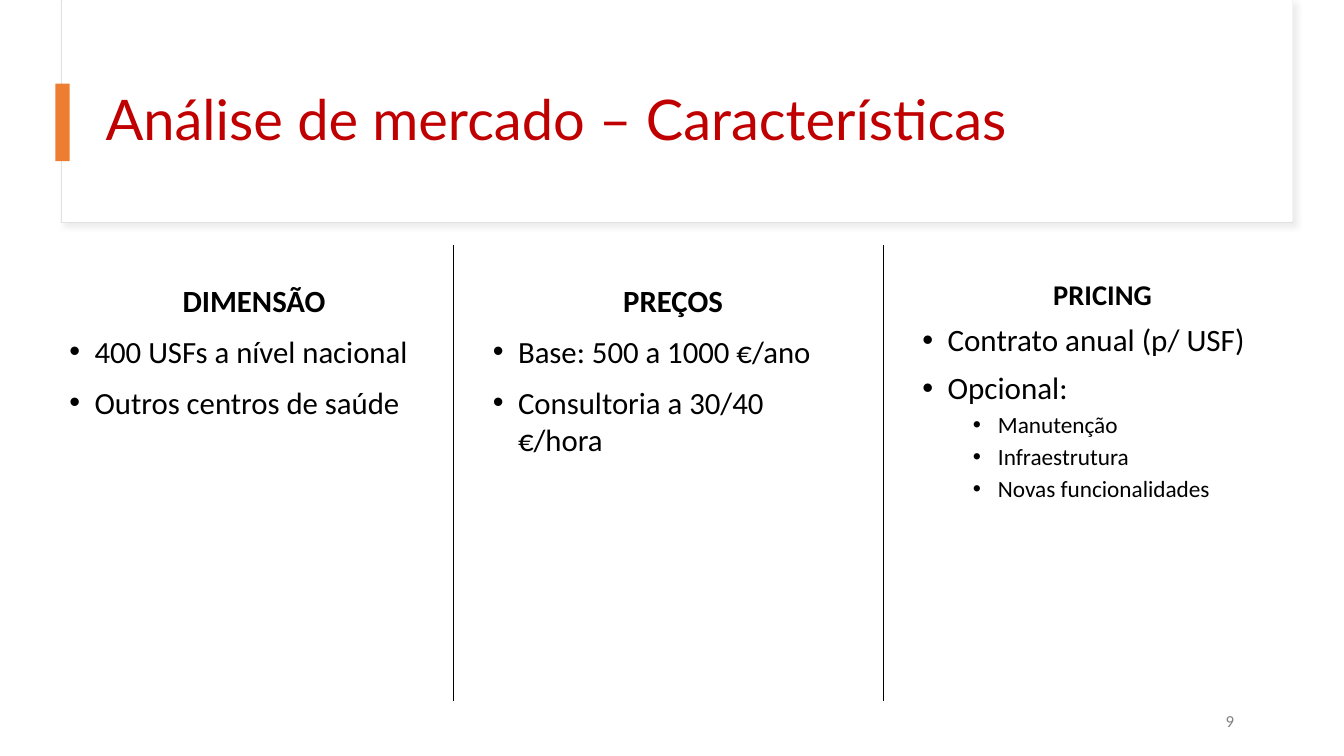
from lxml.etree import SubElement
from pptx import Presentation
from pptx.dml.color import RGBColor
from pptx.enum.shapes import MSO_CONNECTOR, MSO_SHAPE
from pptx.enum.text import MSO_ANCHOR as Anchor, PP_ALIGN as Align
from pptx.oxml import parse_xml
from pptx.oxml.ns import nsdecls, qn
from pptx.util import Inches, Pt

COLORS = {
    "white": "FFFFFF",
    "frame": "E1E1E1",
    "shadow": "D9D9D9",
    "accent": "ED7D31",
    "title": "C00000",
    "text": "000000",
    "number": "808080",
}


def color(name):
    return RGBColor.from_string(COLORS[name])


def add_rect(page, left, top, width, height, fill, line=None):
    rect = page.shapes.add_shape(
        MSO_SHAPE.RECTANGLE, Inches(left), Inches(top), Inches(width), Inches(height))
    rect.shadow.inherit = False
    rect.fill.solid()
    rect.fill.fore_color.rgb = color(fill)
    if line:
        rect.line.color.rgb = color(line)
        rect.line.width = Pt(0.75)
    else:
        rect.line.fill.background()
    return rect


def add_soft_shadow(shape):
    effects = shape._element.spPr.find(qn("a:effectLst"))
    effects.append(parse_xml(
        f'<a:outerShdw {nsdecls("a")} blurRad="{Pt(4)}" dist="{Pt(3)}" '
        f'dir="{45 * 60000}" algn="tl" rotWithShape="0">'
        f'<a:srgbClr val="{COLORS["shadow"]}"><a:alpha val="50000"/></a:srgbClr>'
        '</a:outerShdw>'))


def add_divider(page, x, top=2.43, bottom=6.95):
    divider = page.shapes.add_connector(
        MSO_CONNECTOR.STRAIGHT, Inches(x), Inches(top), Inches(x), Inches(bottom))
    divider.line.color.rgb = color("text")
    divider.line.width = Pt(0.5)
    SubElement(divider._element.spPr, qn("a:effectLst"))


def add_box(page, left, top, width, height, anchor=Anchor.TOP):
    box = page.shapes.add_textbox(
        Inches(left), Inches(top), Inches(width), Inches(height))
    box.text_frame.word_wrap = True
    box.text_frame.vertical_anchor = anchor
    return box.text_frame


def write(para, text, size, font="Calibri", ink="text", bold=False,
          align=Align.LEFT, spacing=1.0, before=0, after=0):
    para.alignment = align
    para.line_spacing = spacing
    para.space_before = Pt(before)
    para.space_after = Pt(after)
    span = para.add_run()
    span.text = text
    span.font.size = Pt(size)
    span.font.name = font
    span.font.bold = bold
    span.font.color.rgb = color(ink)


def add_bullet(para, level):
    para.level = level
    props = para._p.get_or_add_pPr()
    props.set("marL", str(Inches(0.25 + 0.5 * level)))
    props.set("indent", str(Inches(-0.25)))
    SubElement(props, qn("a:buFont"), typeface="Arial")
    SubElement(props, qn("a:buChar"), char="•")


def add_column(page, left, width, height, heading, items, heading_size=22,
               heading_spacing=1.5, sizes=(22,), spacing=1.0):
    """Items are (level, text) pairs; sizes holds one size for each level."""
    frame = add_box(page, left, 2.56, width, height)
    write(frame.paragraphs[0], heading, heading_size, bold=True,
          align=Align.CENTER, spacing=heading_spacing)
    for level, text in items:
        para = frame.add_paragraph()
        add_bullet(para, level)
        write(para, text, sizes[level], spacing=spacing, before=5 if level else 10)


def main():
    deck = Presentation()
    deck.slide_width, deck.slide_height = Inches(13.33), Inches(7.5)
    page = deck.slides.add_slide(deck.slide_layouts[6])

    # Title panel
    add_soft_shadow(add_rect(page, 0.61, 0, 12.21, 2.21, "white", line="frame"))
    add_rect(page, 0.62, 0, 12.2, 2.2, "white")
    title = add_box(page, 0.95, 0.57, 11.12, 1.29, Anchor.MIDDLE)
    write(title.paragraphs[0], "Análise de mercado – Características", 40,
          font="Lato", ink="title", spacing=0.9)
    add_rect(page, 0.55, 0.83, 0.14, 0.77, "accent")

    # Three columns
    add_column(page, 0.59, 3.86, 2.3, "DIMENSÃO", [
        (0, "400 USFs a nível nacional"),
        (0, "Outros centros de saúde"),
    ])
    add_column(page, 4.79, 3.77, 2.3, "PREÇOS", [
        (0, "Base: 500 a 1000 €/ano"),
        (0, "Consultoria a 30/40 €/hora"),
    ])
    add_column(page, 9.05, 3.77, 2.49, "PRICING", [
        (0, "Contrato anual (p/ USF)"),
        (0, "Opcional:"),
        (1, "Manutenção"),
        (1, "Infraestrutura"),
        (1, "Novas funcionalidades"),
    ], heading_size=20.4, heading_spacing=1.4, sizes=(22.2, 16.6), spacing=0.9)
    for x in (4.5, 8.76):
        add_divider(page, x)

    # Page number
    number = add_box(page, 9.34, 6.95, 3, 0.4, Anchor.MIDDLE)
    write(number.paragraphs[0], "9", 12, ink="number", align=Align.RIGHT, after=6)

    deck.save("out.pptx")


if __name__ == "__main__":
    main()
